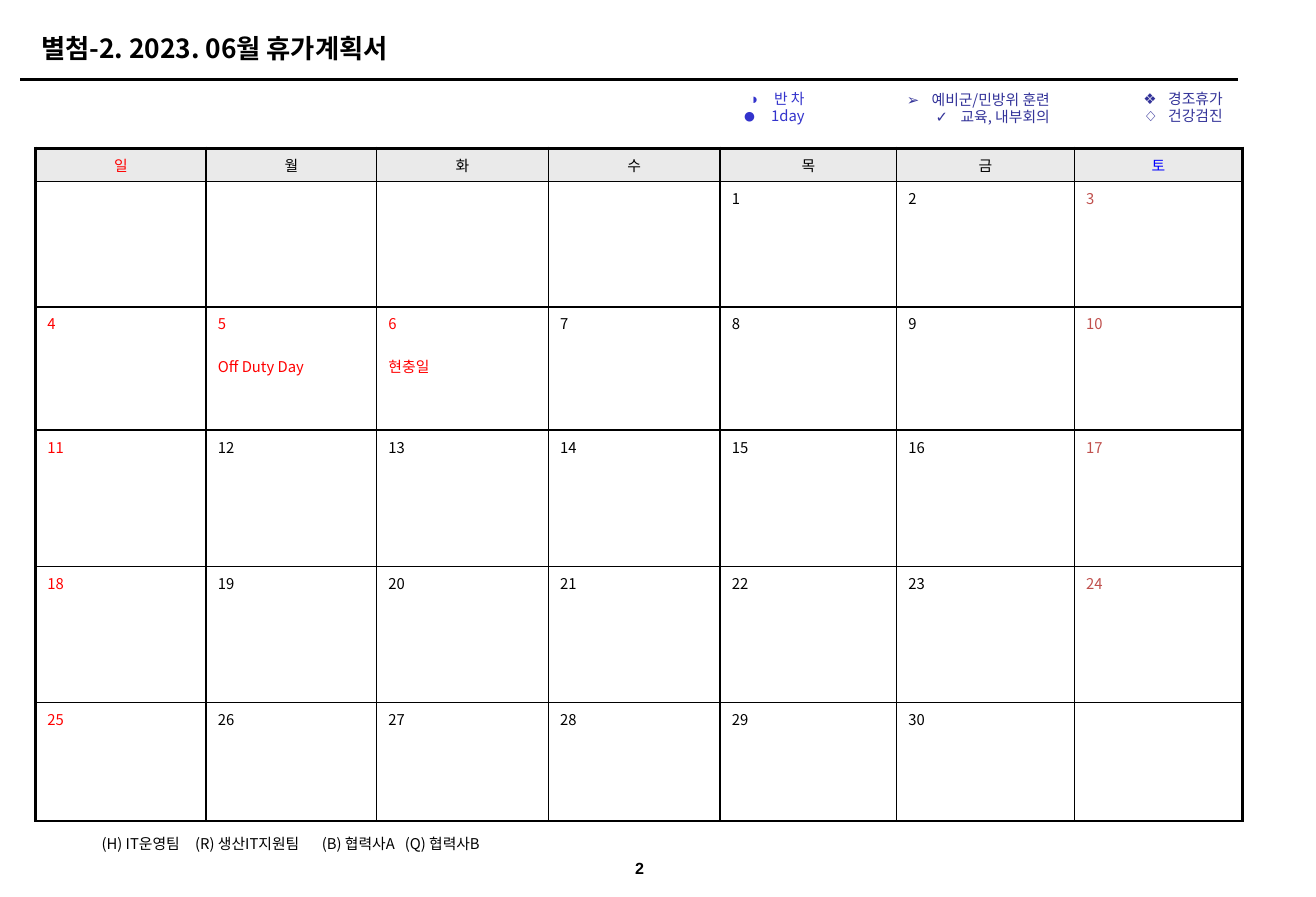
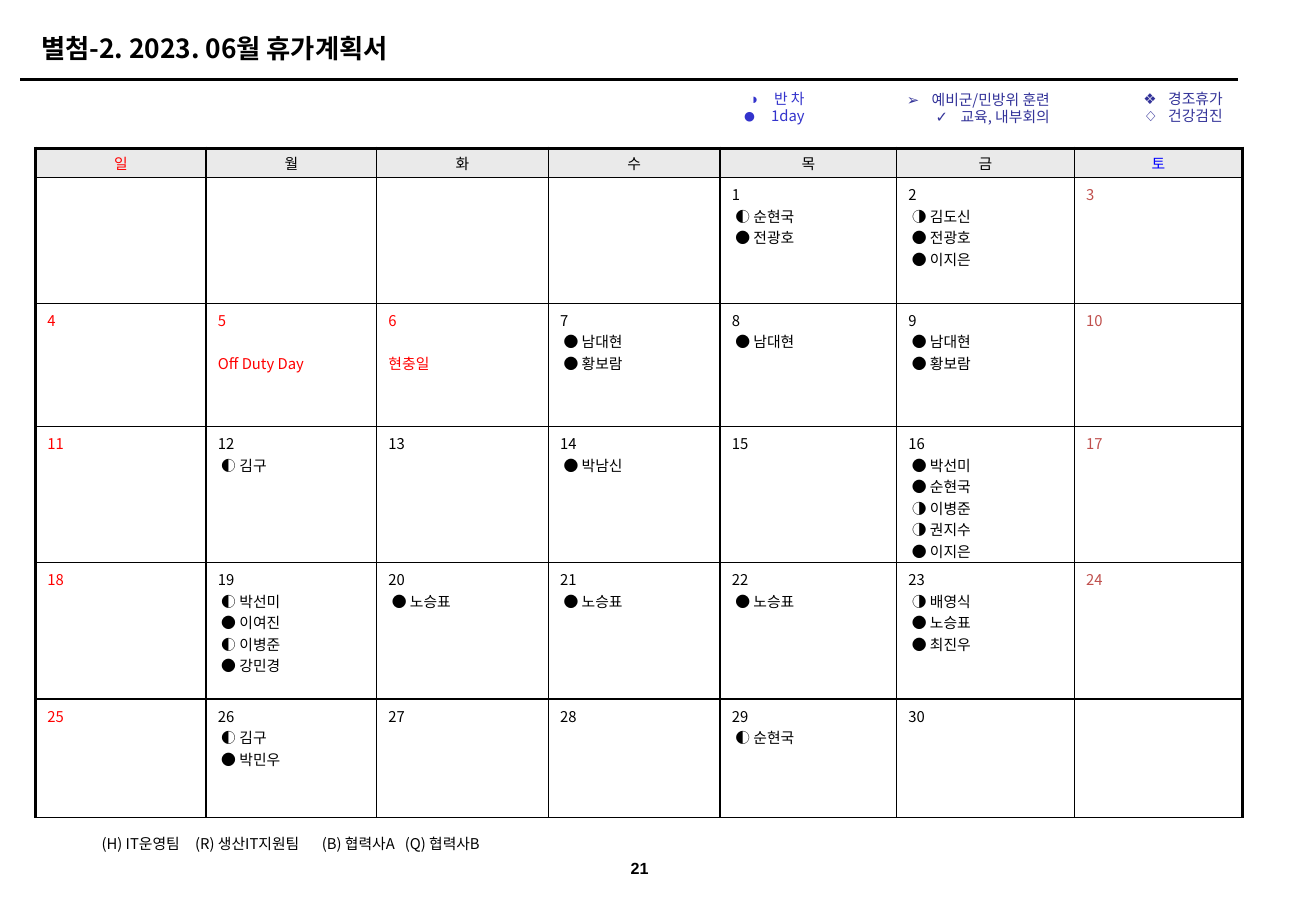
from lxml.etree import SubElement
from pptx import Presentation
from pptx.dml.color import RGBColor
from pptx.enum.shapes import MSO_CONNECTOR
from pptx.enum.text import MSO_ANCHOR, PP_ALIGN
from pptx.oxml import parse_xml
from pptx.oxml.ns import nsdecls, qn
from pptx.util import Inches, Pt

BLACK = RGBColor(0x00, 0x00, 0x00)
RED = RGBColor(0xFF, 0x00, 0x00)
BLUE = RGBColor(0x00, 0x00, 0xFF)
BRICK = RGBColor(0xC0, 0x50, 0x4D)
VIOLET = RGBColor(0x33, 0x33, 0xCC)
INDIGO = RGBColor(0x33, 0x33, 0x99)
HEADER_GREY = RGBColor(0xEA, 0xEA, 0xEA)
FONT = "Noto Sans CJK KR"
LATIN_FONT = "Arial"

TITLE = "별첨-2. 2023. 06월 휴가계획서"
TEAMS = "(H) IT운영팀\t(R) 생산IT지원팀\t(B) 협력사A\t(Q) 협력사B"
TEAM_TABS = [0.79, 1.86, 2.56]
WEEKDAYS = "일월화수목금토"
WEEKDAY_COLORS = [RED] + [BLACK] * 5 + [BLUE]
DAY_COLORS = [RED] + [BLACK] * 5 + [BRICK]
COLUMN_WIDTHS = [1.44, 1.44, 1.45, 1.45, 1.49, 1.5, 1.42]
WEEK_HEIGHTS = [1.06, 1.04, 1.15, 1.15, 1]
FIRST_WEEKDAY = 4
DAYS_IN_MONTH = 30
HOLIDAYS = {5: "Off Duty Day", 6: "현충일"}

# left, top, width, colour, entries of (bullet, bullet size in percent, label)
LEGENDS = [
    (6.07, 0.72, 0.82, VIOLET, [("◑", 100, "반 차"), ("●", 150, " 1day")]),
    (7.41, 0.73, 1.55, INDIGO, [("➢", 100, "예비군/민방위 훈련"), ("✓", 100, "교육, 내부회의")]),
    (8.59, 0.72, 1.83, INDIGO, [("❖", 100, "경조휴가"), ("◇", 100, "건강검진")]),
]

JUNE_LEAVE = {
    1: ["◐ 순현국", "● 전광호"],
    2: ["◑ 김도신", "● 전광호", "● 이지은"],
    7: ["● 남대현", "● 황보람"],
    8: ["● 남대현"],
    9: ["● 남대현", "● 황보람"],
    12: ["◐ 김구"],
    14: ["● 박남신"],
    16: ["● 박선미", "● 순현국", "◑ 이병준", "◑ 권지수", "● 이지은"],
    19: ["◐ 박선미", "● 이여진", "◐ 이병준", "● 강민경"],
    20: ["● 노승표"],
    21: ["● 노승표"],
    22: ["● 노승표"],
    23: ["◑ 배영식", "● 노승표", "● 최진우"],
    26: ["◐ 김구", "● 박민우"],
    29: ["◐ 순현국"],
}
# page number, header row height, leave by day
PAGES = [("2", 0.28, {}), ("21", 0.25, JUNE_LEAVE)]


def style_text(frame, color, size=9, bold=False, font=FONT, align=None):
    for paragraph in frame.paragraphs:
        paragraph.alignment = align
        for run in paragraph.runs:
            run.font.size = Pt(size)
            run.font.bold = bold
            run.font.color.rgb = color
            run.font.name = font
            SubElement(run._r.get_or_add_rPr(), qn("a:ea"), typeface=font)


def add_text(slide, text, left, top, width, height, anchor=MSO_ANCHOR.MIDDLE):
    frame = slide.shapes.add_textbox(
        Inches(left), Inches(top), Inches(width), Inches(height)).text_frame
    frame.word_wrap = True
    frame.vertical_anchor = anchor
    frame.text = text
    return frame


prs = Presentation()
prs.slide_width = Inches(11.11)
prs.slide_height = Inches(7.57)

for page_number, header_height, leave in PAGES:
    slide = prs.slides.add_slide(prs.slide_layouts[6])

    # Title, rule and page number
    rule = slide.shapes.add_connector(
        MSO_CONNECTOR.STRAIGHT, Inches(0.17), Inches(0.67), Inches(10.45), Inches(0.67))
    rule.line.color.rgb = BLACK
    rule.line.width = Pt(1.5)
    SubElement(rule._element.spPr, qn("a:effectLst"))
    title = add_text(slide, TITLE, 0.25, 0.22, 9.9, 0.37)
    style_text(title, BLACK, size=16, bold=True)
    number = add_text(slide, page_number, 5.13, 7.17, 0.54, 0.31)
    style_text(number, BLACK, size=9.8, bold=True, font=LATIN_FONT, align=PP_ALIGN.CENTER)

    # Calendar
    row_heights = [header_height] + WEEK_HEIGHTS
    calendar = slide.shapes.add_table(
        len(row_heights), len(COLUMN_WIDTHS), Inches(0.3), Inches(1.25),
        Inches(sum(COLUMN_WIDTHS)), Inches(sum(row_heights))).table
    calendar.first_row = calendar.horz_banding = False
    for column, width in zip(calendar.columns, COLUMN_WIDTHS):
        column.width = Inches(width)
    for row, height in zip(calendar.rows, row_heights):
        row.height = Inches(height)

    for week in range(len(row_heights)):
        for weekday in range(len(WEEKDAYS)):
            cell = calendar.cell(week, weekday)
            frame = cell.text_frame
            day = (week - 1) * 7 + weekday - FIRST_WEEKDAY + 1
            if week == 0:
                cell.fill.solid()
                cell.fill.fore_color.rgb = HEADER_GREY
                cell.vertical_anchor = MSO_ANCHOR.MIDDLE
                cell.margin_top = cell.margin_bottom = Inches(0.03)
                frame.text = WEEKDAYS[weekday]
                style_text(frame, WEEKDAY_COLORS[weekday], align=PP_ALIGN.CENTER)
            else:
                cell.fill.background()
                cell.margin_bottom = 0
                if 1 <= day <= DAYS_IN_MONTH:
                    lines = [str(day)] + [" " + entry for entry in leave.get(day, [])]
                    if day in HOLIDAYS:
                        lines.append(HOLIDAYS[day])
                    frame.text = "\n".join(lines)
                    style_text(frame, RED if day in HOLIDAYS else DAY_COLORS[weekday])
                    if day in HOLIDAYS:
                        frame.paragraphs[1].space_before = Pt(13)

            borders = {"lnL": 2 if weekday == 0 else 1,
                       "lnR": 2 if weekday == len(WEEKDAYS) - 1 else 1,
                       "lnT": 2 if week == 0 else 1,
                       "lnB": 1}
            for position, (side, points) in enumerate(borders.items()):
                cell._tc.get_or_add_tcPr().insert(position, parse_xml(
                    f'<a:{side} {nsdecls("a")} w="{Pt(points)}"><a:solidFill>'
                    f'<a:srgbClr val="{BLACK}"/></a:solidFill></a:{side}>'))

    # Legend of leave types
    for left, top, width, color, entries in LEGENDS:
        legend = add_text(slide, "\n".join(label for _, _, label in entries),
                          left, top, width, 0.4, MSO_ANCHOR.TOP)
        for paragraph, (bullet, percent, _) in zip(legend.paragraphs, entries):
            paragraph.line_spacing = 0.95
            properties = paragraph._p.get_or_add_pPr()
            properties.set("marL", str(Inches(0.21)))
            properties.set("indent", str(-Inches(0.21)))
            bullet_color = SubElement(properties, qn("a:buClr"))
            SubElement(bullet_color, qn("a:srgbClr"), val=str(color))
            SubElement(properties, qn("a:buSzPct"), val=str(percent * 1000))
            SubElement(properties, qn("a:buFont"), typeface=LATIN_FONT)
            SubElement(properties, qn("a:buChar"), char=bullet)
        style_text(legend, color, align=PP_ALIGN.RIGHT)

    # Team key
    teams = add_text(slide, TEAMS, 0.76, 7, 3.5, 0.24)
    tab_list = SubElement(teams.paragraphs[0]._p.get_or_add_pPr(), qn("a:tabLst"))
    for stop in TEAM_TABS:
        SubElement(tab_list, qn("a:tab"), pos=str(Inches(stop)), algn="l")
    style_text(teams, BLACK)

prs.save("out.pptx")
